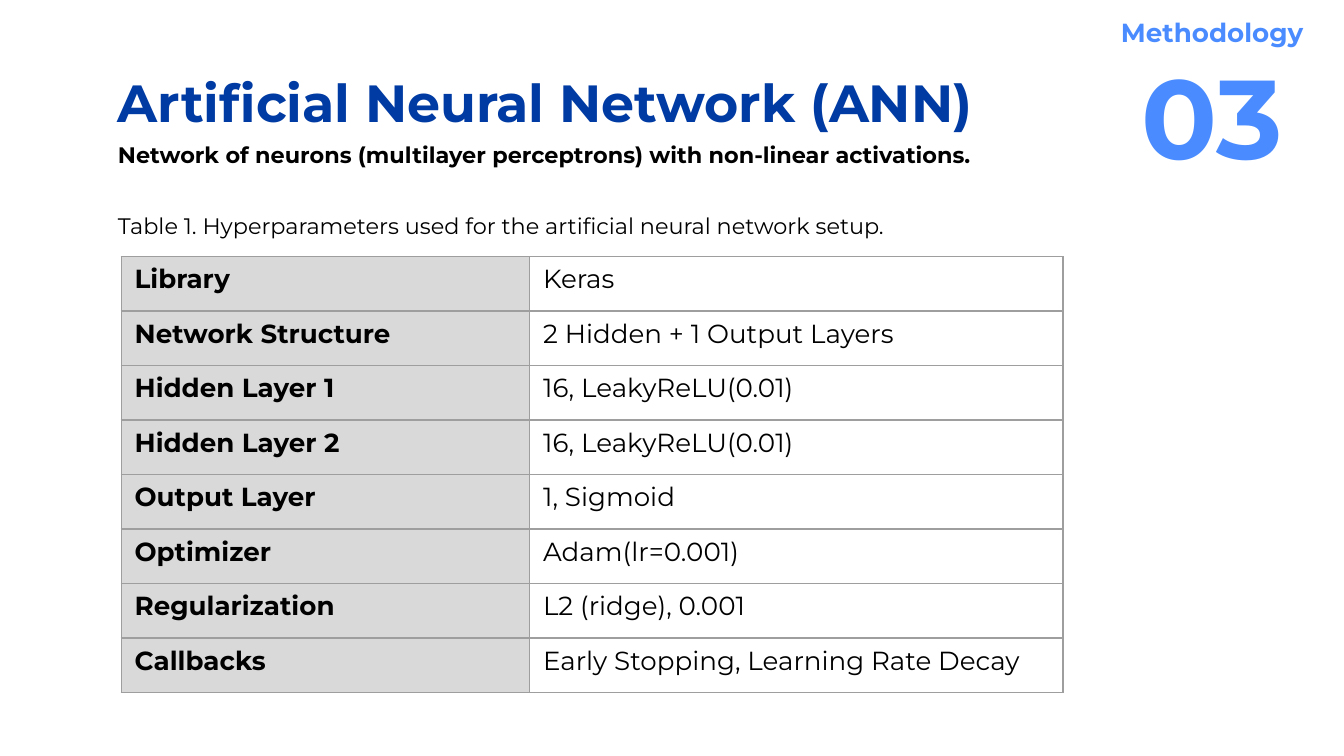
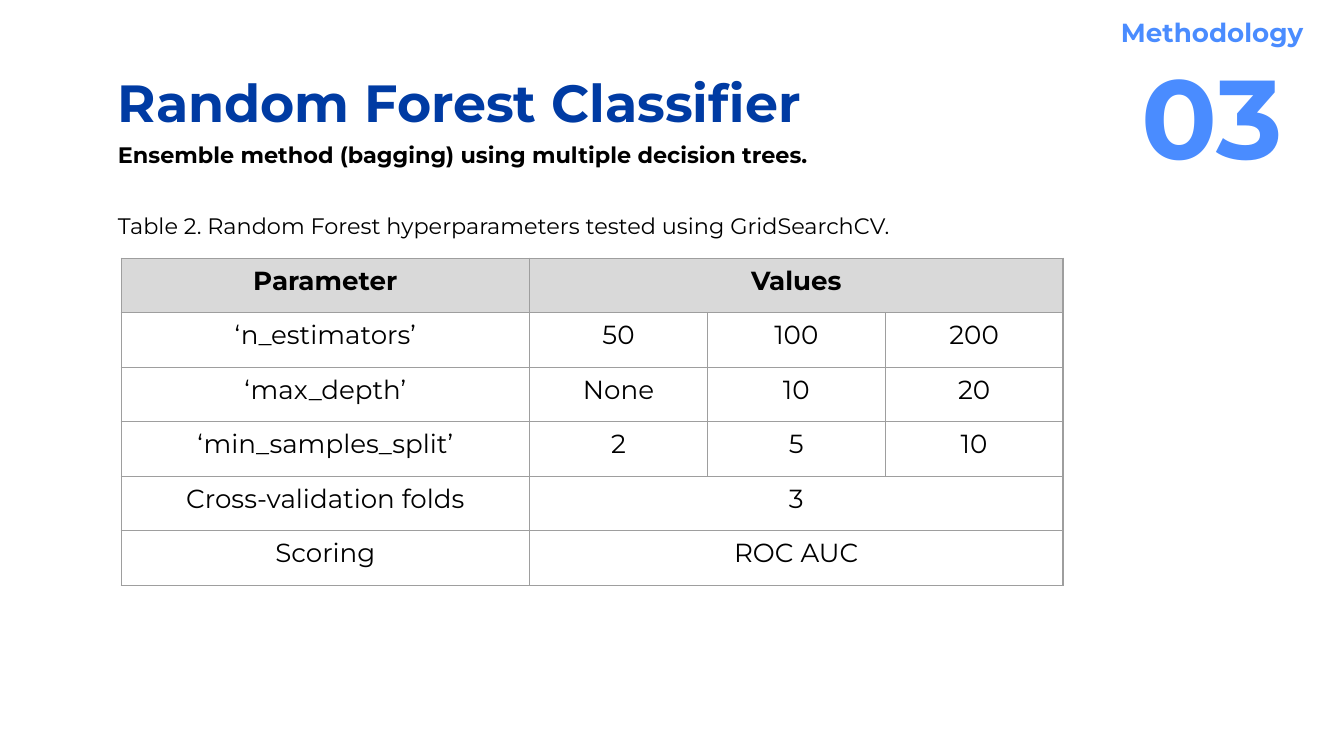
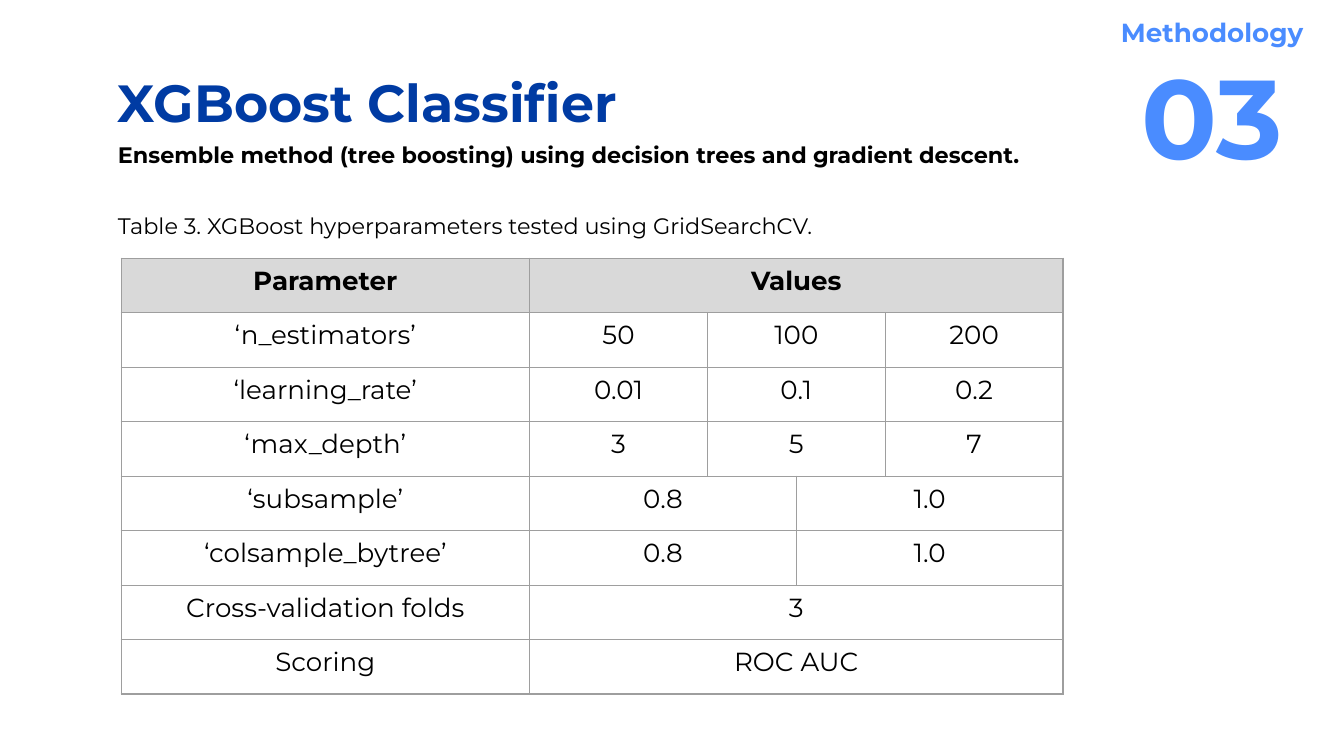
from lxml import etree
from pptx import Presentation
from pptx.dml.color import RGBColor
from pptx.enum import text
from pptx.oxml import ns
from pptx.util import Cm, Pt

FONT = "Montserrat"
COLOURS = {
    "title": "003BA3",
    "section": "4A8CFF",
    "body": "000000",
    "heading_fill": "D9D9D9",
    "border": "9E9E9E",
}
INSET = Cm(0.25)
TEXT_LEFT = 1.98
TABLE_LEFT = 2.29
NAME_WIDTH = 7.72
ROW_HEIGHT = 1.03
# The value area is six units wide, so one, two or three values share it evenly
UNITS = 6
UNIT_WIDTH = 1.68

MODELS = [
    {
        "title": "Artificial Neural Network (ANN)",
        "summary": "Network of neurons (multilayer perceptrons) with non-linear activations.",
        "caption": "Table 1. Hyperparameters used for the artificial neural network setup.",
        "top": 4.85,
        "headed_by": "column",
        "rows": [
            ("Library", "Keras"),
            ("Network Structure", "2 Hidden + 1 Output Layers"),
            ("Hidden Layer 1", "16, LeakyReLU(0.01)"),
            ("Hidden Layer 2", "16, LeakyReLU(0.01)"),
            ("Output Layer", "1, Sigmoid"),
            ("Optimizer", "Adam(lr=0.001)"),
            ("Regularization", "L2 (ridge), 0.001"),
            ("Callbacks", "Early Stopping, Learning Rate Decay"),
        ],
    },
    {
        "title": "Random Forest Classifier",
        "summary": "Ensemble method (bagging) using multiple decision trees.",
        "caption": "Table 2. Random Forest hyperparameters tested using GridSearchCV.",
        "top": 4.88,
        "headed_by": "row",
        "rows": [
            ("Parameter", "Values"),
            ("‘n_estimators’", "50", "100", "200"),
            ("‘max_depth’", "None", "10", "20"),
            ("‘min_samples_split’", "2", "5", "10"),
            ("Cross-validation folds", "3"),
            ("Scoring", "ROC AUC"),
        ],
    },
    {
        "title": "XGBoost Classifier",
        "summary": "Ensemble method (tree boosting) using decision trees and gradient descent.",
        "caption": "Table 3. XGBoost hyperparameters tested using GridSearchCV.",
        "top": 4.88,
        "headed_by": "row",
        "rows": [
            ("Parameter", "Values"),
            ("‘n_estimators’", "50", "100", "200"),
            ("‘learning_rate’", "0.01", "0.1", "0.2"),
            ("‘max_depth’", "3", "5", "7"),
            ("‘subsample’", "0.8", "1.0"),
            ("‘colsample_bytree’", "0.8", "1.0"),
            ("Cross-validation folds", "3"),
            ("Scoring", "ROC AUC"),
        ],
    },
]


def add_span(para, words, size, colour="body", bold=False):
    span = para.add_run()
    span.text = words
    span.font.name = FONT
    span.font.size = Pt(size)
    span.font.bold = bold
    span.font.color.rgb = RGBColor.from_string(COLOURS[colour])


def prepare_frame(box, anchor=text.MSO_ANCHOR.TOP):
    frame = box.text_frame
    frame.word_wrap = True
    frame.auto_size = text.MSO_AUTO_SIZE.NONE
    frame.vertical_anchor = anchor
    frame.margin_left = frame.margin_right = INSET
    frame.margin_top = frame.margin_bottom = INSET
    return frame


def add_title(page, words):
    box = page.shapes.title
    box.left, box.top = Cm(TEXT_LEFT), Cm(1.07)
    box.width, box.height = Cm(21.44), Cm(1.6)
    para = prepare_frame(box).paragraphs[0]
    para.alignment = text.PP_ALIGN.LEFT
    add_span(para, words, 28, "title", bold=True)


def add_line_of_text(page, words, top, width, bold=False):
    box = page.shapes.add_textbox(Cm(TEXT_LEFT), Cm(top), Cm(width), Cm(1))
    para = prepare_frame(box).paragraphs[0]
    para.space_after = Pt(12)
    add_span(para, words, 12, bold=bold)


def add_section_mark(page):
    box = page.shapes.add_textbox(Cm(20.42), Cm(0.56), Cm(4.98), Cm(2.62))
    frame = prepare_frame(box, text.MSO_ANCHOR.MIDDLE)
    for para, words, size in (
        (frame.paragraphs[0], "Methodology", 14),
        (frame.add_paragraph(), "03", 60),
    ):
        para.alignment = text.PP_ALIGN.CENTER
        add_span(para, words, size, "section", bold=True)


def add_borders(cell):
    properties = cell._tc.get_or_add_tcPr()
    for side in ("a:lnL", "a:lnR", "a:lnT", "a:lnB"):
        line = etree.SubElement(properties, ns.qn(side), w=str(Pt(0.75)))
        fill = etree.SubElement(line, ns.qn("a:solidFill"))
        etree.SubElement(fill, ns.qn("a:srgbClr"), val=COLOURS["border"])


def style_cell(cell, is_heading):
    add_borders(cell)
    if is_heading:
        cell.fill.solid()
        cell.fill.fore_color.rgb = RGBColor.from_string(COLOURS["heading_fill"])
    else:
        cell.fill.background()


def add_parameter_table(page, rows, top, headed_by):
    # Column edges fall wherever any row splits the value area
    edges = sorted({UNITS * part // (len(row) - 1) for row in rows for part in range(len(row))})
    widths = [NAME_WIDTH] + [(end - start) * UNIT_WIDTH for start, end in zip(edges, edges[1:])]
    table = page.shapes.add_table(
        len(rows), len(widths), Cm(TABLE_LEFT), Cm(top), Cm(sum(widths)), Cm(ROW_HEIGHT * len(rows))
    ).table
    table.first_row = table.horz_banding = False
    for column, width in zip(table.columns, widths):
        column.width = Cm(width)

    by_row = headed_by == "row"
    alignment = text.PP_ALIGN.CENTER if by_row else text.PP_ALIGN.LEFT
    for row_index, row in enumerate(rows):
        table.rows[row_index].height = Cm(ROW_HEIGHT)
        for column_index in range(len(widths)):
            is_heading = (row_index if by_row else column_index) == 0
            style_cell(table.cell(row_index, column_index), is_heading)

        values = len(row) - 1
        starts = [0] + [1 + edges.index(UNITS * part // values) for part in range(values)]
        ends = starts[1:] + [len(widths)]
        for words, start, end in zip(row, starts, ends):
            cell = table.cell(row_index, start)
            if end - start > 1:
                cell.merge(table.cell(row_index, end - 1))
            para = cell.text_frame.paragraphs[0]
            para.alignment = alignment
            add_span(para, words, 14, bold=(row_index if by_row else start) == 0)


def main():
    deck = Presentation()
    deck.slide_width, deck.slide_height = Cm(25.4), Cm(14.29)
    title_only = deck.slide_layouts[5]
    for model in MODELS:
        page = deck.slides.add_slide(title_only)
        add_title(page, model["title"])
        add_section_mark(page)
        add_line_of_text(page, model["summary"], top=2.41, width=19.79, bold=True)
        add_line_of_text(page, model["caption"], top=3.76, width=16.76)
        add_parameter_table(page, model["rows"], model["top"], model["headed_by"])
    deck.save("out.pptx")


if __name__ == "__main__":
    main()
